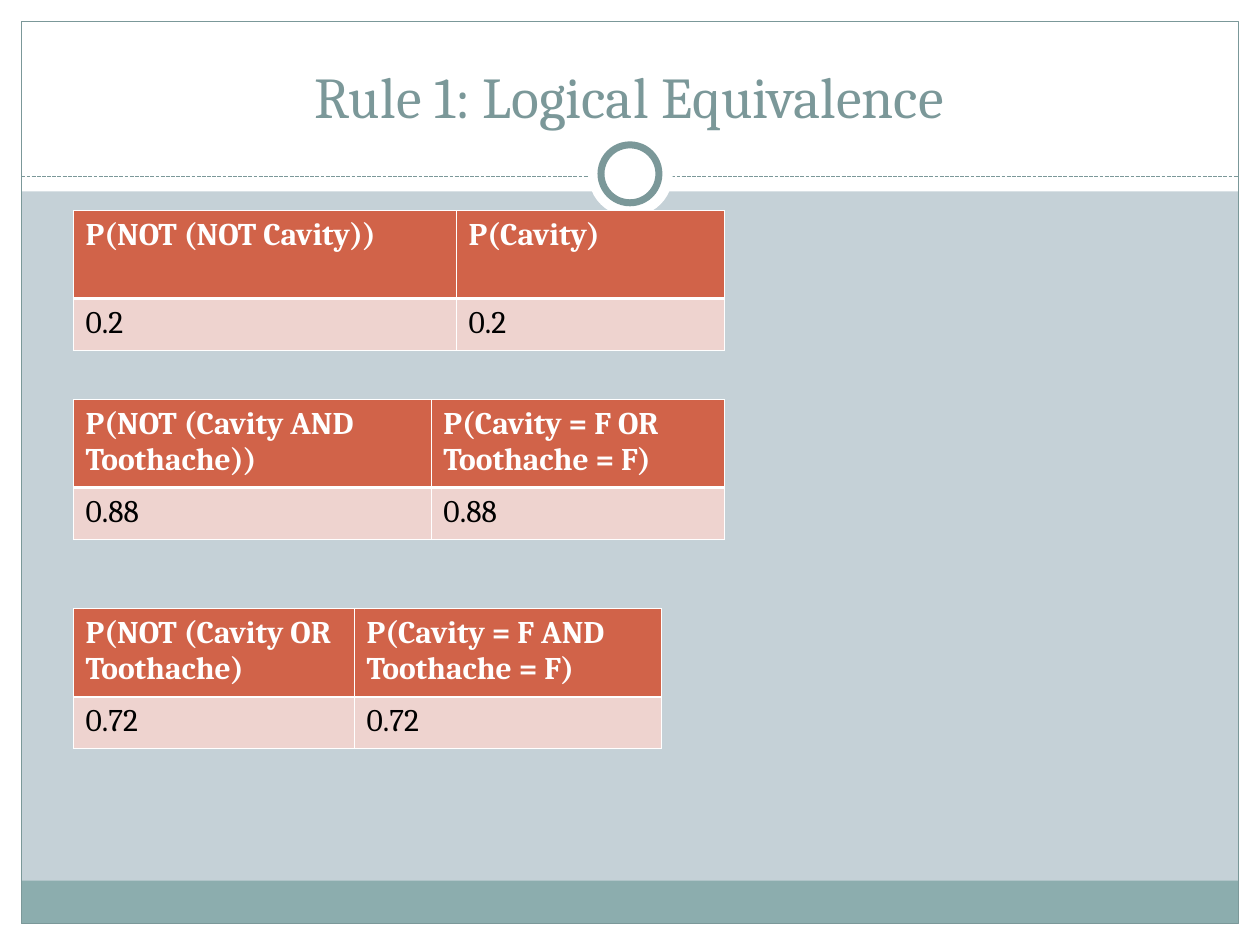
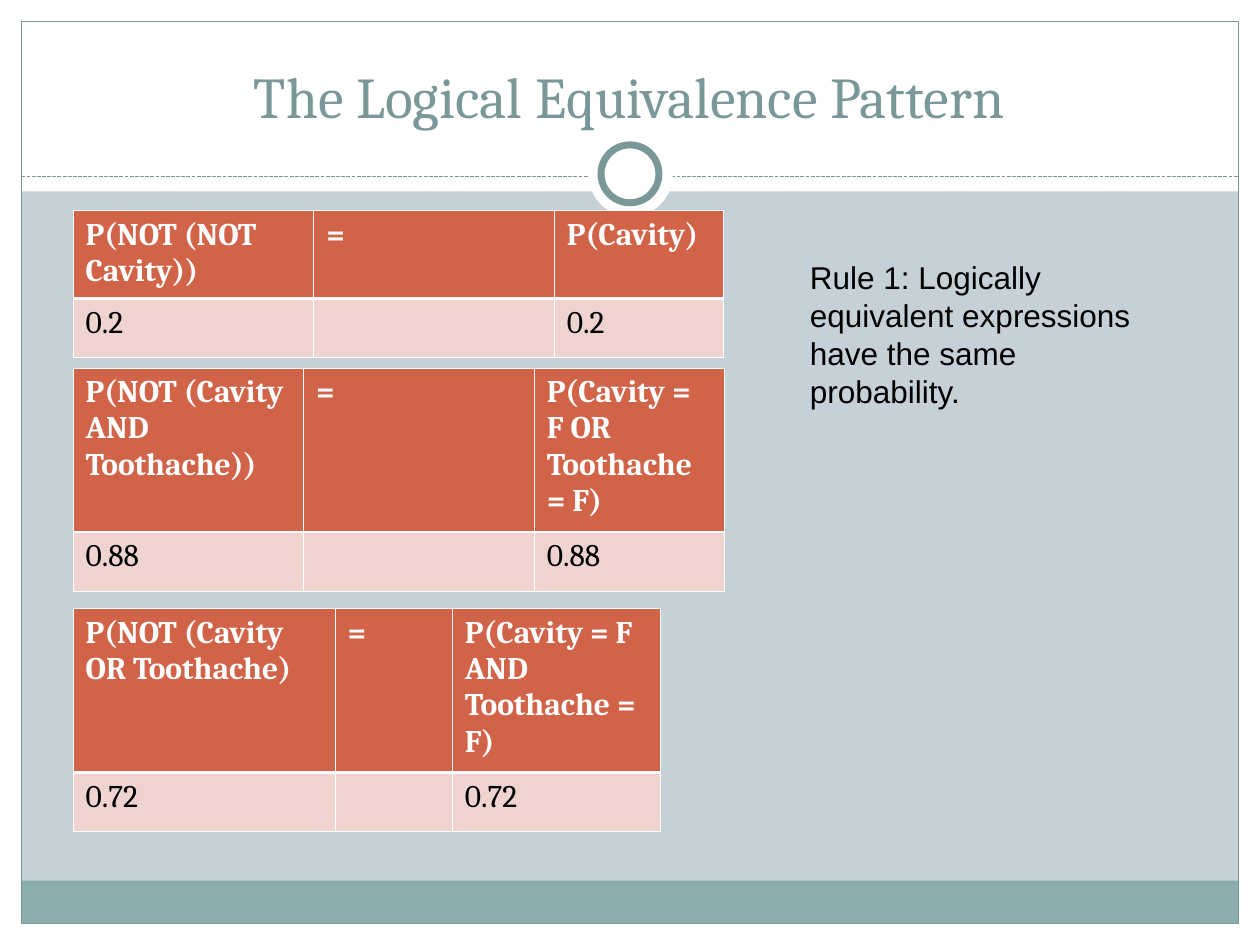
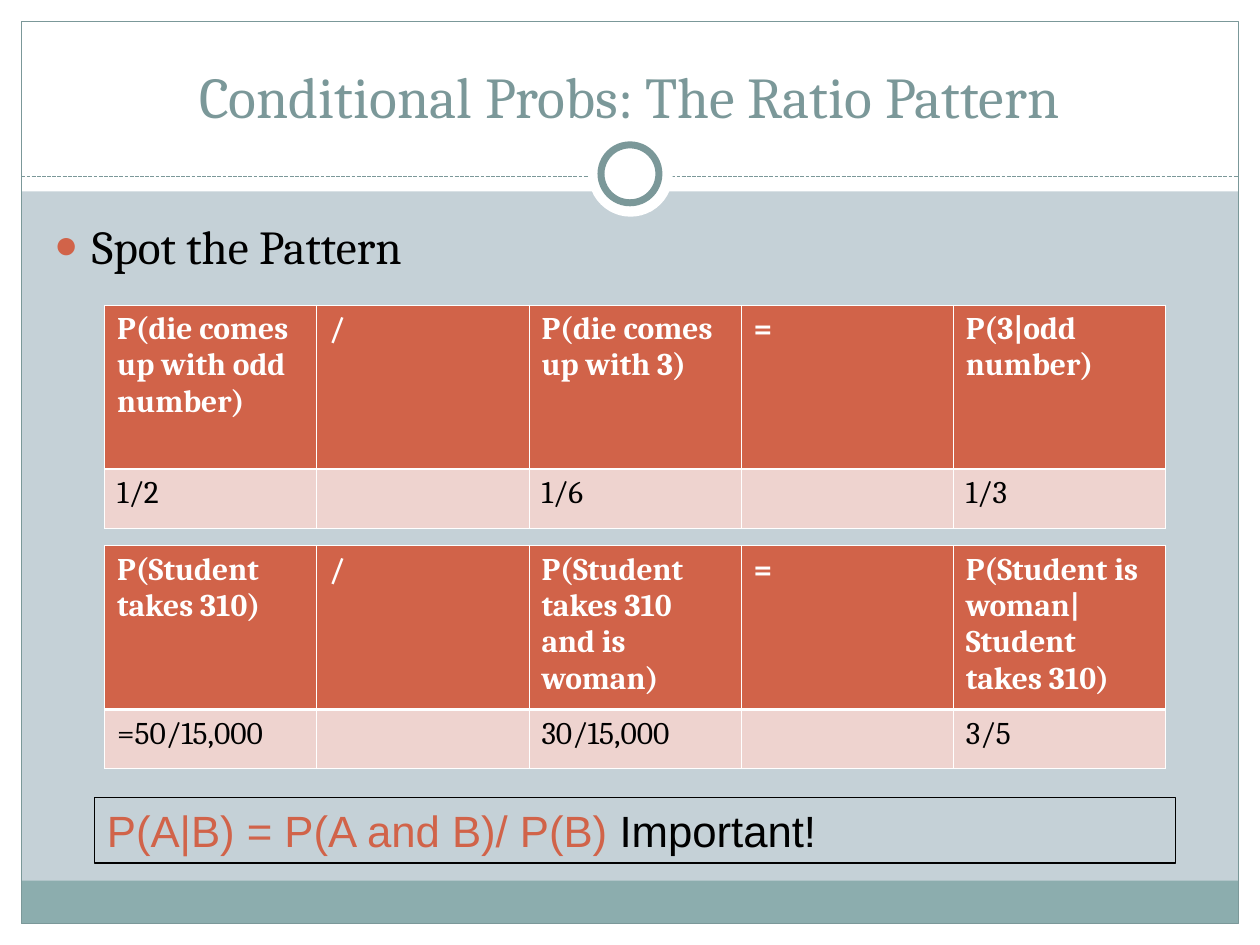
import lxml.etree
import pptx
import pptx.dml.color
import pptx.enum.dml
import pptx.enum.shapes
import pptx.enum.text
import pptx.oxml.ns
import pptx.util

THEME = {
    "colours": {"background": "C5D1D7", "white": "FFFFFF", "black": "000000", "band": "8CADAE",
                "slate": "7B9899", "accent": "D16349", "tint": "EED3CF"},
    "title": {"name": "Cambria", "size": 33, "color": "slate"},
    "bullet": {"name": "Cambria", "size": 27, "color": "black"},
    "header": {"name": "Cambria", "size": 18, "color": "white", "bold": True},
    "value": {"name": "Cambria", "size": 18, "color": "black", "bold": False},
    "note": {"name": "Arial", "size": 18, "color": "black"},
    "formula": {"name": "Arial", "size": 25, "color": "accent"},
    "remark": {"name": "Arial", "size": 25, "color": "black"},
}
WIDTH, HEIGHT = 10, 7.5
MARGIN = 0.17
INNER = WIDTH - 2 * MARGIN
TABLE_LEFT, WIDE_LEFT = 0.58, 0.83
FIFTHS = [8.42 / 5] * 5
SHORT, TALL = 0.7, 1.3
PLAIN_ROW, GAP_ROW = 0.41, 0.47
THIN, THICK = 0.45, 1.47

NOT_NOT, CAVITY = "P(NOT (NOT Cavity))", "P(Cavity)"
NOT_AND, EITHER_FALSE = "P(NOT (Cavity AND Toothache))", "P(Cavity = F OR Toothache = F)"
NOT_OR, BOTH_FALSE = "P(NOT (Cavity OR Toothache)", "P(Cavity = F AND Toothache = F)"

# Each table: left, top, column widths, row heights, header texts, values
SLIDES = [
    {"title": "Rule 1: Logical Equivalence",
     "tables": [
         (TABLE_LEFT, 1.67, [3.04, 2.13], [SHORT, PLAIN_ROW], [NOT_NOT, CAVITY], ["0.2", "0.2"]),
         (TABLE_LEFT, 3.17, [2.84, 2.33], [SHORT, PLAIN_ROW], [NOT_AND, EITHER_FALSE], ["0.88", "0.88"]),
         (TABLE_LEFT, 4.83, [2.23, 2.44], [SHORT, PLAIN_ROW], [NOT_OR, BOTH_FALSE], ["0.72", "0.72"]),
     ]},
    {"title": "The Logical Equivalence Pattern",
     "tables": [
         (TABLE_LEFT, 1.67, [1.91, 1.91, 1.34], [SHORT, GAP_ROW],
          [NOT_NOT, "=", CAVITY], ["0.2", "", "0.2"]),
         (TABLE_LEFT, 2.92, [1.83, 1.83, 1.51], [TALL, GAP_ROW],
          [NOT_AND, "=", EITHER_FALSE], ["0.88", "", "0.88"]),
         (TABLE_LEFT, 4.83, [2.08, 0.93, 1.65], [TALL, GAP_ROW],
          [NOT_OR, "=", BOTH_FALSE], ["0.72", "", "0.72"]),
     ],
     "note": "Rule 1: Logically equivalent expressions have the same probability."},
    {"title": "Conditional Probs: The Ratio Pattern",
     "bullet": "Spot the Pattern",
     "tables": [
         (WIDE_LEFT, 2.42, FIFTHS, [TALL, GAP_ROW],
          ["P(die comes up with odd number)", "/", "P(die comes up with 3)", "=", "P(3|odd number)"],
          ["1/2", "", "1/6", "", "1/3"]),
         (WIDE_LEFT, 4.33, FIFTHS, [TALL, GAP_ROW],
          ["P(Student takes 310)", "/", "P(Student takes 310 and is woman)", "=",
           "P(Student is woman|Student takes 310)"],
          ["=50/15,000", "", "30/15,000", "", "3/5"]),
     ],
     "formula": [("P(A|B) = P(A and B)/ P(B) ", "formula"), ("Important!", "remark")]},
]

# Master shapes: kind, box, fill, line colour, line width
RECT, OVAL = pptx.enum.shapes.MSO_SHAPE.RECTANGLE, pptx.enum.shapes.MSO_SHAPE.OVAL
RULE_Y = 1.4
FRAME = [
    (RECT, (0, HEIGHT - MARGIN, WIDTH, MARGIN), "white", None, 0),
    (RECT, (0, 0, WIDTH, 1.52), "white", None, 0),
    (RECT, (0, 0, MARGIN, HEIGHT), "white", None, 0),
    (RECT, (WIDTH - MARGIN, 0, MARGIN, HEIGHT), "white", None, 0),
    (RECT, (MARGIN, 6.99, INNER, 0.34), "band", None, 0),
    (RECT, (MARGIN, MARGIN, INNER, HEIGHT - 2 * MARGIN), None, "slate", 0.75),
    "rule",
    (OVAL, (4.67, 1.05, 0.67, 0.67), "white", None, 0),
    (OVAL, (4.77, 1.15, 0.46, 0.46), "white", "slate", 4),
]


def rgb(name):
    return pptx.dml.color.RGBColor.from_string(THEME["colours"][name])


def inches(values):
    return [pptx.util.Inches(v) for v in values]


def sub(parent, tag, **attributes):
    return lxml.etree.SubElement(parent, pptx.oxml.ns.qn(tag), attributes)


def place(sp, box):
    for key, value in zip(("left", "top", "width", "height"), inches(box)):
        setattr(sp, key, value)


def add_run(p, text, style):
    r = p.add_run()
    r.text = text
    for key, value in THEME[style].items():
        if key == "color":
            r.font.color.rgb = rgb(value)
        else:
            setattr(r.font, key, pptx.util.Pt(value) if key == "size" else value)


def set_frame(tf, **formats):
    for key, value in {"word_wrap": True, "auto_size": pptx.enum.text.MSO_AUTO_SIZE.NONE, **formats}.items():
        setattr(tf, key, value)


def add_preset(s, kind, box, fill, line, width):
    sp = s.shapes.add_shape(kind, *inches(box))
    sp.shadow.inherit = False
    if fill:
        sp.fill.solid()
        sp.fill.fore_color.rgb = rgb(fill)
    else:
        sp.fill.background()
    if line:
        sp.line.color.rgb = rgb(line)
        sp.line.width = pptx.util.Pt(width)
    else:
        sp.line.fill.background()
    return sp


def add_rule(s):
    line = s.shapes.add_connector(pptx.enum.shapes.MSO_CONNECTOR.STRAIGHT,
                                  *inches((MARGIN, RULE_Y, WIDTH - MARGIN, RULE_Y)))
    line.line.color.rgb = rgb("slate")
    line.line.width = pptx.util.Pt(0.75)
    line.line.dash_style = pptx.enum.dml.MSO_LINE.SQUARE_DOT
    sub(line.element.spPr, "a:effectLst")
    return line


def dress_master(master, s):
    """Build the frame on slide s, then move its shapes to the master."""
    master.background.fill.solid()
    master.background.fill.fore_color.rgb = rgb("background")
    for number, part in enumerate(FRAME, start=100):
        sp = add_rule(s) if part == "rule" else add_preset(s, *part)
        sp.element.xpath(".//p:cNvPr")[0].set("id", str(number))
        master.shapes.element.append(sp.element)


def add_title(s, text):
    sp = s.shapes.title
    place(sp, (0.33, 0.25, 9.33, 0.83))
    set_frame(sp.text_frame, vertical_anchor=pptx.enum.text.MSO_ANCHOR.BOTTOM)
    p = sp.text_frame.paragraphs[0]
    p.alignment = pptx.enum.text.PP_ALIGN.CENTER
    add_run(p, text, "title")


def add_bullet(s, text):
    sp = s.placeholders[1]
    place(sp, (0.33, 1.67, 9.3, 0.75))
    set_frame(sp.text_frame)
    p = sp.text_frame.paragraphs[0]
    pPr = p._p.get_or_add_pPr()
    indent = pptx.util.Inches(0.3)
    pPr.set("marL", str(indent))
    pPr.set("indent", str(-indent))
    sub(sub(pPr, "a:buClr"), "a:srgbClr", val=THEME["colours"]["accent"])
    sub(pPr, "a:buSzPct", val="85000")
    sub(pPr, "a:buChar", char="●")
    p.space_before = pptx.util.Pt(0)
    add_run(p, text, "bullet")


def set_borders(cell, top, bottom):
    tcPr = cell._tc.get_or_add_tcPr()
    for side, width in (("L", THIN), ("R", THIN), ("T", top), ("B", bottom)):
        ln = sub(tcPr, f"a:ln{side}", w=str(pptx.util.Pt(width)))
        sub(sub(ln, "a:solidFill"), "a:srgbClr", val=THEME["colours"]["white"])


def add_grid(s, left, top, widths, heights, header, values):
    box = inches((left, top, sum(widths), sum(heights)))
    table = s.shapes.add_table(2, len(widths), *box).table
    for column, width in zip(table.columns, inches(widths)):
        column.width = width
    looks = [(header, "header", "accent", THIN, THICK), (values, "value", "tint", THICK, THIN)]
    for i, (texts, style, fill, upper, lower) in enumerate(looks):
        table.rows[i].height = pptx.util.Inches(heights[i])
        for j, text in enumerate(texts):
            cell = table.cell(i, j)
            set_borders(cell, upper, lower)
            cell.fill.solid()
            cell.fill.fore_color.rgb = rgb(fill)
            if text:
                add_run(cell.text_frame.paragraphs[0], text, style)


def add_note(s, text):
    sp = s.shapes.add_textbox(*inches((6.33, 2, 3, 1.3)))
    set_frame(sp.text_frame)
    add_run(sp.text_frame.paragraphs[0], text, "note")


def add_formula(s, runs):
    sp = add_preset(s, RECT, (0.75, 6.33, 8.58, 0.52), None, "black", 0.75)
    set_frame(sp.text_frame, vertical_anchor=pptx.enum.text.MSO_ANCHOR.TOP)
    p = sp.text_frame.paragraphs[0]
    p.alignment = pptx.enum.text.PP_ALIGN.LEFT
    for text, style in runs:
        add_run(p, text, style)


def main():
    prs = pptx.Presentation()
    prs.slide_width, prs.slide_height = inches((WIDTH, HEIGHT))
    for number, content in enumerate(SLIDES):
        layout = "Title and Content" if "bullet" in content else "Title Only"
        s = prs.slides.add_slide(prs.slide_layouts.get_by_name(layout))
        if number == 0:
            dress_master(prs.slide_master, s)
        add_title(s, content["title"])
        for table in content["tables"]:
            add_grid(s, *table)
        for key, add in (("bullet", add_bullet), ("note", add_note), ("formula", add_formula)):
            if key in content:
                add(s, content[key])
    prs.save("out.pptx")


if __name__ == "__main__":
    main()
